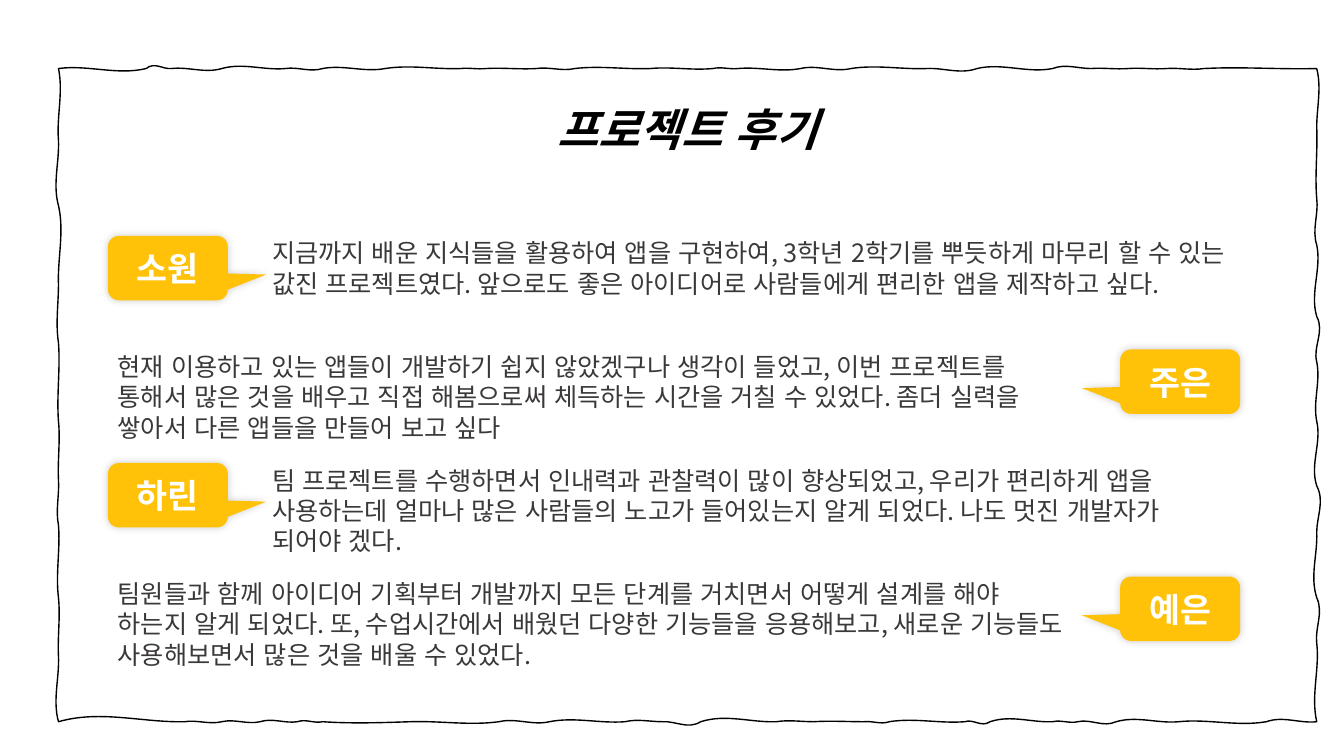
"""Build the project review slide: four speech labels and comments in a wavy frame."""
from lxml.etree import SubElement
from pptx import Presentation
from pptx.dml.color import RGBColor
from pptx.enum.lang import MSO_LANGUAGE_ID
from pptx.enum.shapes import MSO_SHAPE
from pptx.enum.text import MSO_ANCHOR, MSO_AUTO_SIZE, PP_ALIGN
from pptx.oxml.ns import qn
from pptx.util import Pt

TITLE = "프로젝트 후기"
REVIEWS = [
    ("소원", "지금까지 배운 지식들을 활용하여 앱을 구현하여, 3학년 2학기를 뿌듯하게 마무리 할 수 있는 값진 "
             "프로젝트였다. 앞으로도 좋은 아이디어로 사람들에게 편리한 앱을 제작하고 싶다."),
    ("주은", "현재 이용하고 있는 앱들이 개발하기 쉽지 않았겠구나 생각이 들었고, 이번 프로젝트를 통해서 많은 것을 "
             "배우고 직접 해봄으로써 체득하는 시간을 거칠 수 있었다. 좀더 실력을 쌓아서 다른 앱들을 만들어 보고 싶다"),
    ("하린", "팀 프로젝트를 수행하면서 인내력과 관찰력이 많이 향상되었고, 우리가 편리하게 앱을 사용하는데 얼마나 "
             "많은 사람들의 노고가 들어있는지 알게 되었다. 나도 멋진 개발자가 되어야 겠다."),
    ("예은", "팀원들과 함께 아이디어 기획부터 개발까지 모든 단계를 거치면서 어떻게 설계를 해야 하는지 알게 되었다. "
             "또, 수업시간에서 배웠던 다양한 기능들을 응용해보고, 새로운 기능들도 사용해보면서 많은 것을 배울 수 있었다."),
]

FRAME_LEFT, FRAME_TOP, FRAME_RIGHT, FRAME_BOTTOM = 58, 68, 1306, 716
TOP_WAVES = [
    (145, -4, 7), (170, -7, 1), (220, -2, 5), (283, -6, 2), (320, -2, 4), (382, -4, 4),
    (457, -4, 1), (482, -1, 1), (532, -1, 1), (570, -2, 3), (645, -3, 1), (707, -2, 2),
    (732, -2, 1), (794, -2, 4), (844, -4, 4), (919, -4, 1), (969, -1, 6), (1044, -6, 5),
    (1082, -5, 0), (1119, -1, 1), (1157, -1, 1), (1194, -1, 2), (FRAME_RIGHT, -2, 1),
]
RIGHT_WAVES = [
    (126, 5, 0), (197, 1, -2), (243, 2, -5), (314, 5, -7), (359, 8, -4), (418, 4, -4),
    (482, 5, -7), (528, 8, 0), (593, 1, -7), (638, 7, -2), (FRAME_BOTTOM, 3, -6),
]
BOTTOM_WAVES = [
    (1256, 2, -6), (1169, 5, -3), (1107, 2, -6), (1069, 6, -3), (1044, 2, -2), (982, 1, -7),
    (957, 6, -3), (882, 2, -4), (857, 3, -1), (807, 0, -1), (770, 0, -2), (695, 1, -8),
    (657, 8, -1), (620, 0, -3), (545, 2, -5), (495, 4, -4), (407, 4, -1), (320, 1, 2),
    (295, 2, -3), (258, 2, -4), (220, 3, -3), (183, 3, -2), (FRAME_LEFT, 1, -12),
]
LEFT_WAVES = [
    (651, -6, 1), (593, -1, 2), (521, -3, 2), (476, -3, 1), (418, -1, 2), (340, -2, 2),
    (282, -3, 0), (204, -1, 6), (139, -6, 1), (FRAME_TOP, -2, 5),
]
EDGES = [
    (FRAME_LEFT, FRAME_TOP, TOP_WAVES, True), (FRAME_TOP, FRAME_RIGHT, RIGHT_WAVES, False),
    (FRAME_RIGHT, FRAME_BOTTOM, BOTTOM_WAVES, True), (FRAME_BOTTOM, FRAME_LEFT, LEFT_WAVES, False),
]

SCALE = 9144
FONT = "Noto Sans CJK KR"
BLACK = RGBColor(0x00, 0x00, 0x00)
WHITE = RGBColor(0xFF, 0xFF, 0xFF)
GRAY = RGBColor(0x3B, 0x38, 0x38)
YELLOW = RGBColor(0xFF, 0xC2, 0x09)

REVIEW_LEFT, REVIEW_RIGHT, FIRST_TOP, LAST_TOP = 107, 1230, 231, 569
COMMENT_WIDTH, COMMENT_HEIGHT = 970, 101
LABEL_WIDTH, LABEL_HEIGHT, LABEL_DROP = 119, 64, 3


def px(*lengths):
    return [round(length * SCALE) for length in lengths]


def write(shape, text, size, color, bold=False, italic=False, align=PP_ALIGN.LEFT):
    shape.text_frame.word_wrap = True
    para = shape.text_frame.paragraphs[0]
    para.alignment = align
    span = para.add_run()
    span.text = text
    font = span.font
    font.name, font.size, font.bold, font.italic = FONT, Pt(size), bold, italic
    font.language_id = MSO_LANGUAGE_ID.KOREAN
    font.color.rgb = color


def add_text(page, text, left, top, width, height, **style):
    box = page.shapes.add_textbox(*px(left, top, width, height))
    write(box, text, **style)
    box.text_frame.auto_size = MSO_AUTO_SIZE.SHAPE_TO_FIT_TEXT


def frame_curves():
    for start, level, waves, horizontal in EDGES:
        for end, first, second in waves:
            third = (end - start) / 3
            curve = [(start + third, level + first), (end - third, level + second), (end, level)]
            yield curve if horizontal else [(x, y) for y, x in curve]
            start = end


def add_frame(page):
    curves = list(frame_curves())
    builder = page.shapes.build_freeform(*px(FRAME_LEFT, FRAME_TOP))
    builder.add_line_segments([px(*curve[-1]) for curve in curves], close=True)
    frame = builder.convert_to_shape()
    lines = list(frame._element.iter(qn("a:lnTo")))
    for line, curve in zip(lines, curves):
        bend = line.getparent().makeelement(qn("a:cubicBezTo"), {})
        for x, y in curve:
            across, down = px(x - FRAME_LEFT, y - FRAME_TOP)
            SubElement(bend, qn("a:pt"), x=str(across), y=str(down))
        line.getparent().replace(line, bend)
    frame.shadow.inherit = False
    frame.fill.background()
    frame.line.color.rgb = BLACK
    frame.line.width = Pt(1)


def add_label(page, name, left, top, flipped):
    label = page.shapes.add_shape(
        MSO_SHAPE.ROUNDED_RECTANGULAR_CALLOUT, *px(left, top, LABEL_WIDTH, LABEL_HEIGHT))
    for index, value in enumerate((0.82, 0.1, 0.17)):
        label.adjustments[index] = value
    label.fill.solid()
    label.fill.fore_color.rgb = YELLOW
    label.line.fill.background()
    label.shadow.inherit = False
    effects = label._element.spPr.find(qn("a:effectLst"))
    shadow = SubElement(effects, qn("a:outerShdw"), blurRad=str(Pt(6)), dist="0",
                        dir=str((225 if flipped else 315) * 60000), rotWithShape="0")
    tint = SubElement(shadow, qn("a:srgbClr"), val=str(BLACK))
    SubElement(tint, qn("a:alpha"), val="20000")
    if flipped:
        label._element.spPr.xfrm.set("flipH", "1")
    label.text_frame.vertical_anchor = MSO_ANCHOR.MIDDLE
    write(label, name, size=24, color=WHITE, bold=True, align=PP_ALIGN.CENTER)


def main():
    deck = Presentation()
    deck.slide_width, deck.slide_height = px(1333, 750)
    page = deck.slides.add_slide(deck.slide_layouts[6])
    add_frame(page)
    add_text(page, TITLE, FRAME_LEFT, 96, FRAME_RIGHT - FRAME_LEFT, 64, size=32,
             color=BLACK, bold=True, italic=True, align=PP_ALIGN.CENTER)
    pitch = (LAST_TOP - FIRST_TOP) / (len(REVIEWS) - 1)
    for index, (name, comment) in enumerate(REVIEWS):
        flipped = index % 2 == 1
        top = FIRST_TOP + index * pitch
        comment_left = REVIEW_LEFT if flipped else REVIEW_RIGHT - COMMENT_WIDTH
        label_left = REVIEW_RIGHT - LABEL_WIDTH if flipped else REVIEW_LEFT
        add_text(page, comment, comment_left, top, COMMENT_WIDTH, COMMENT_HEIGHT,
                 size=18, color=GRAY)
        add_label(page, name, label_left, top + LABEL_DROP, flipped)
    deck.save("out.pptx")


if __name__ == "__main__":
    main()
